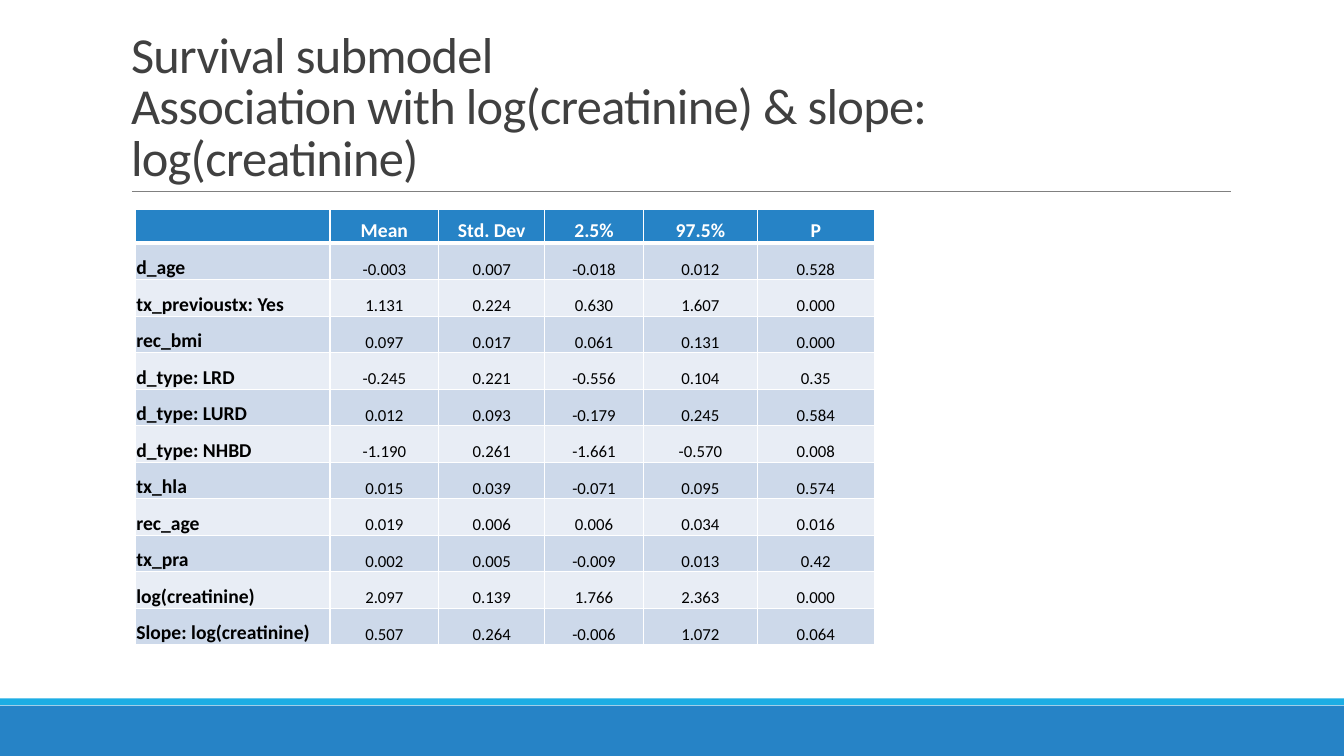
from lxml import etree
from pptx import Presentation
from pptx import util as u
from pptx.dml.color import RGBColor
from pptx.enum import shapes, text
from pptx.oxml import ns

FONT = "Calibri"
WHITE, BLUE, CYAN = "FFFFFF", "2683C6", "1CADE4"
BANDS = ["CDD9EA", "E8EDF5"]
COLUMNS = [139, 77.8, 75.6, 70.6, 81.4, 83.5]
HEADER = ["", "Mean", "Std. Dev", "2.5%", "97.5%", "P"]
ESTIMATES = [
    ["d_age", "-0.003", "0.007", "-0.018", "0.012", "0.528"],
    ["tx_previoustx: Yes", "1.131", "0.224", "0.630", "1.607", "0.000"],
    ["rec_bmi", "0.097", "0.017", "0.061", "0.131", "0.000"],
    ["d_type: LRD", "-0.245", "0.221", "-0.556", "0.104", "0.35"],
    ["d_type: LURD", "0.012", "0.093", "-0.179", "0.245", "0.584"],
    ["d_type: NHBD", "-1.190", "0.261", "-1.661", "-0.570", "0.008"],
    ["tx_hla", "0.015", "0.039", "-0.071", "0.095", "0.574"],
    ["rec_age", "0.019", "0.006", "0.006", "0.034", "0.016"],
    ["tx_pra", "0.002", "0.005", "-0.009", "0.013", "0.42"],
    ["log(creatinine)", "2.097", "0.139", "1.766", "2.363", "0.000"],
    ["Slope: log(creatinine)", "0.507", "0.264", "-0.006", "1.072", "0.064"],
]


def rgb(color):
    return RGBColor.from_string(color)


def add_run(p, words, size, color, bold=False):
    r = p.add_run()
    r.text = words
    r.font.name = FONT
    r.font.size = u.Pt(size)
    r.font.bold = bold
    r.font.color.rgb = rgb(color)
    return r


def add_bar(s, top, height, color):
    sp = s.shapes.add_shape(shapes.MSO_SHAPE.RECTANGLE, 0, u.Pt(top), u.Pt(960), u.Pt(height))
    sp.shadow.inherit = False
    sp.fill.solid()
    sp.fill.fore_color.rgb = rgb(color)
    sp.line.fill.background()


def add_rule(s, left, right, y):
    ln = s.shapes.add_connector(shapes.MSO_CONNECTOR.STRAIGHT, u.Pt(left), u.Pt(y), u.Pt(right), u.Pt(y))
    ln.line.color.rgb = rgb("808080")
    ln.line.width = u.Pt(0.5)
    etree.SubElement(ln._element.spPr, ns.qn("a:effectLst"))


def set_title(s, lines):
    sp = s.shapes.title
    sp.left, sp.top, sp.width, sp.height = u.Pt(86.4), u.Pt(22.6), u.Pt(792), u.Pt(114.2)
    tf = sp.text_frame
    tf.word_wrap = True
    tf.auto_size = text.MSO_AUTO_SIZE.NONE
    tf.vertical_anchor = text.MSO_ANCHOR.BOTTOM
    p = tf.paragraphs[0]
    p.alignment = text.PP_ALIGN.LEFT
    p.line_spacing = 0.85
    for i, line in enumerate(lines):
        if i:
            p.add_line_break()
        r = add_run(p, line, 36, "404040")
        r.font._element.set("spc", "-50")


def set_borders(cell, bottom):
    tcPr = cell._tc.get_or_add_tcPr()
    for side, width in (("L", 1), ("R", 1), ("T", 1), ("B", bottom)):
        ln = etree.SubElement(tcPr, ns.qn(f"a:ln{side}"), w=str(u.Pt(width)))
        fill = etree.SubElement(ln, ns.qn("a:solidFill"))
        etree.SubElement(fill, ns.qn("a:srgbClr"), val=WHITE)


def set_cell(cell, words, fill, size, color, bold, align, bottom):
    set_borders(cell, bottom)
    cell.fill.solid()
    cell.fill.fore_color.rgb = rgb(fill)
    cell.margin_left = cell.margin_right = cell.margin_top = u.Pt(0.7)
    cell.margin_bottom = 0
    cell.vertical_anchor = text.MSO_ANCHOR.BOTTOM
    p = cell.text_frame.paragraphs[0]
    p.alignment = align
    if words:
        add_run(p, words, size, color, bold)


def add_estimates(s):
    rows = [HEADER] + ESTIMATES
    frame = s.shapes.add_table(len(rows), len(COLUMNS), u.Pt(96.7), u.Pt(149.8), u.Pt(sum(COLUMNS)), u.Pt(311))
    table = frame.table
    for col, width in zip(table.columns, COLUMNS):
        col.width = u.Pt(width)
    for i, row in enumerate(rows):
        head = i == 0
        table.rows[i].height = u.Pt(23.9 if head else 26.1)
        for j, words in enumerate(row):
            label = head or j == 0
            set_cell(
                table.cell(i, j), words,
                fill=BLUE if head else BANDS[(i - 1) % 2],
                size=14 if label else 12,
                color=WHITE if head else "000000",
                bold=label,
                align=text.PP_ALIGN.CENTER if head or j else text.PP_ALIGN.LEFT,
                bottom=3 if head else 1,
            )


def main():
    prs = Presentation()
    prs.slide_width, prs.slide_height = u.Pt(960), u.Pt(540)
    s = prs.slides.add_slide(prs.slide_layouts[5])
    add_bar(s, 504, 36, BLUE)
    add_bar(s, 498.8, 5, CYAN)
    add_rule(s, 94.3, 879, 136.8)
    set_title(s, ["Survival submodel ", "Association with log(creatinine) & slope: log(creatinine)"])
    add_estimates(s)
    prs.save("out.pptx")


if __name__ == "__main__":
    main()
